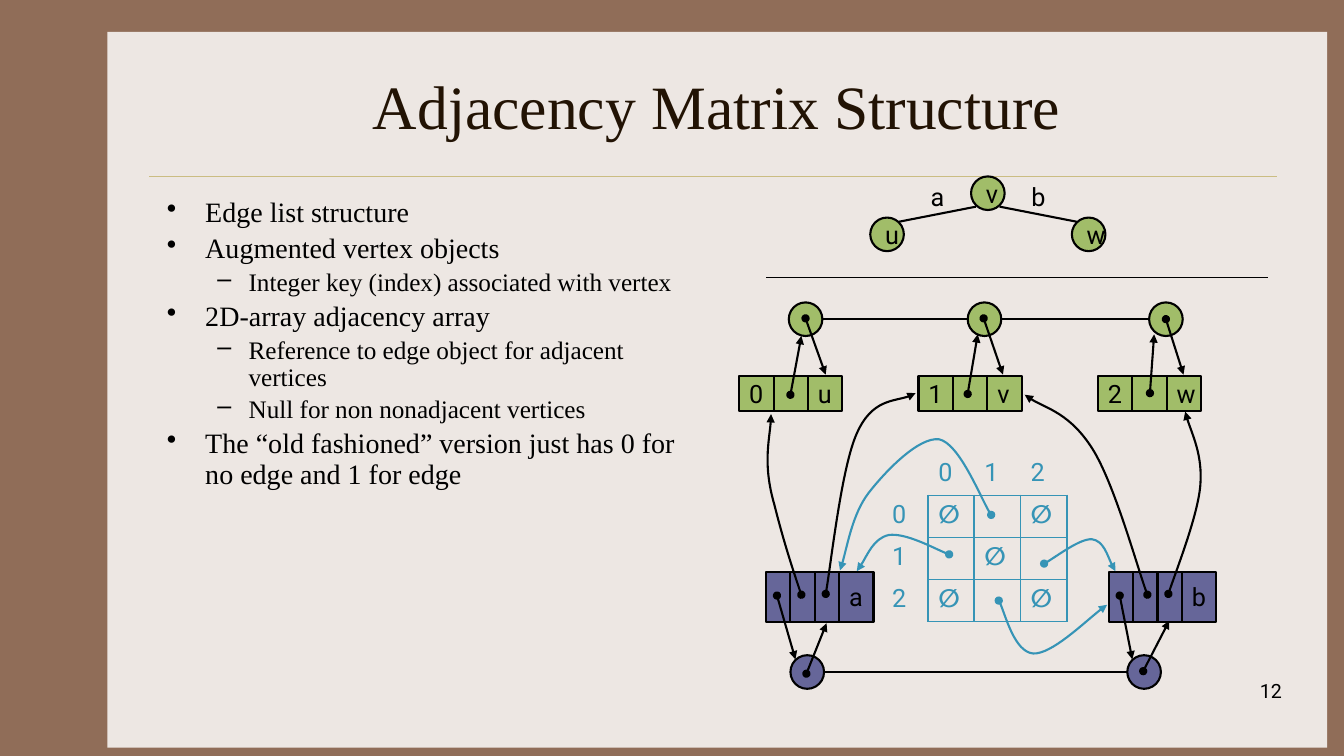
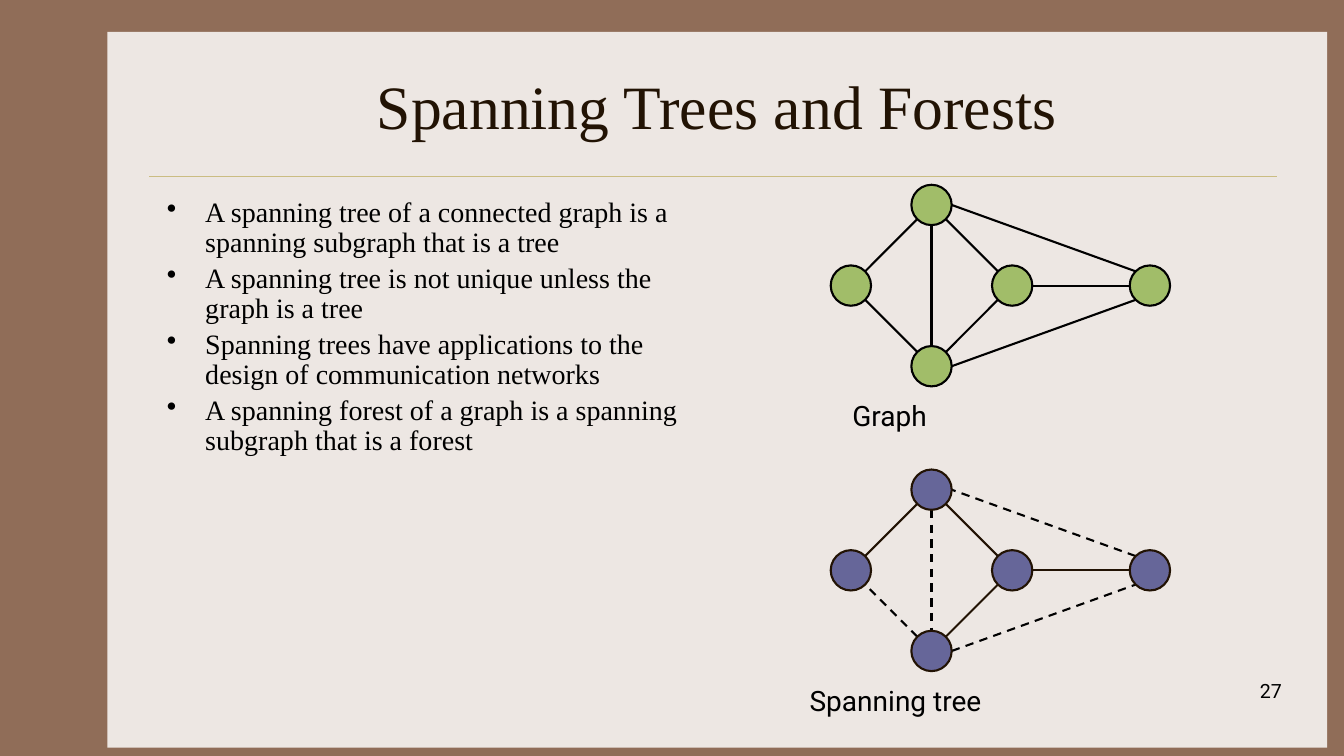
from dataclasses import dataclass
from math import cos, radians, sin

from lxml.etree import SubElement
from pptx import Presentation
from pptx.dml.color import RGBColor
from pptx.enum.dml import MSO_LINE
from pptx.enum.shapes import MSO_CONNECTOR, MSO_SHAPE
from pptx.enum.text import MSO_ANCHOR, PP_ALIGN
from pptx.oxml.ns import qn
from pptx.util import Emu, Inches, Pt

COLS, ROWS = 160, 90
CELL = Inches(13.3333) // COLS + 1
TITLE_ONLY = 5


@dataclass(frozen=True)
class Theme:
    frame: str = "906D58"
    panel: str = "EDE7E3"
    rule: str = "CBBD83"
    title: str = "221304"
    ink: str = "000000"
    green: str = "A1BD69"
    blue: str = "666699"
    teal: str = "3694B6"
    serif: str = "Times New Roman"
    sans: str = "Roboto"
    title_size: int = 44
    body_sizes: tuple = (20, 18)
    caption_size: int = 20
    label_size: int = 18
    number_size: int = 14
    stroke: float = 1.5


T = Theme()
BULLETS = (("•", 0.38, 0.38), ("–", 0.81, 0.31))


def g(*lengths):
    return [Emu(round(n * CELL)) for n in lengths]


def rgb(color):
    return RGBColor.from_string(color)


def format_runs(p, size, font=T.sans, color=T.ink, bold=False):
    for r in p.runs:
        r.font.size = Pt(size)
        r.font.name = font
        r.font.bold = bold
        r.font.color.rgb = rgb(color)


def set_line(sp, color=T.ink, width=T.stroke, dashed=False):
    sp.line.color.rgb = rgb(color)
    sp.line.width = Pt(width)
    if dashed:
        sp.line.dash_style = MSO_LINE.DASH


def add_ends(sp):
    ln = sp._element.spPr.find(qn("a:ln"))
    SubElement(ln, qn("a:headEnd"), type="oval")
    SubElement(ln, qn("a:tailEnd"), type="triangle")


def add_label(s, box, text, size=T.label_size, align=PP_ALIGN.LEFT, wrap=True):
    tf = s.shapes.add_textbox(*g(*box)).text_frame
    tf.word_wrap = wrap
    tf.text = text
    tf.paragraphs[0].alignment = align
    format_runs(tf.paragraphs[0], size)


def add_box(s, kind, box, fill, text="", outline=T.ink):
    sp = s.shapes.add_shape(kind, *g(*box))
    sp.shadow.inherit = False
    sp.fill.solid()
    sp.fill.fore_color.rgb = rgb(fill)
    if outline:
        set_line(sp, outline)
    else:
        sp.line.fill.background()
    if text:
        tf = sp.text_frame
        tf.text = text
        tf.word_wrap = False
        tf.vertical_anchor = MSO_ANCHOR.MIDDLE
        tf.paragraphs[0].alignment = PP_ALIGN.LEFT
        format_runs(tf.paragraphs[0], T.label_size)


def add_node(s, center, diameter, fill, text="", outline=T.ink):
    x, y = center
    box = (x - diameter / 2, y - diameter / 2, diameter, diameter)
    add_box(s, MSO_SHAPE.OVAL, box, fill, text, outline)


def add_record(s, x, y, widths, height, fill, texts):
    for width, text in zip(widths, texts):
        add_box(s, MSO_SHAPE.RECTANGLE, (x, y, width, height), fill, text)
        x += width


def add_line(s, start, end, color=T.ink, width=T.stroke, dashed=False):
    c = s.shapes.add_connector(MSO_CONNECTOR.STRAIGHT, *g(*start, *end))
    set_line(c, color, width, dashed)
    SubElement(c._element.spPr, qn("a:effectLst"))
    return c


def add_curve(s, points, color):
    start, *rest = [g(*point) for point in points]
    builder = s.shapes.build_freeform(*start)
    builder.add_line_segments(rest, close=False)
    sp = builder.convert_to_shape()
    steps = sp._element.xpath(".//a:lnTo")
    outline = steps[0].getparent()
    for i in range(0, len(steps), 3):
        bezier = SubElement(outline, qn("a:cubicBezTo"))
        for step in steps[i:i + 3]:
            bezier.append(step[0])
            outline.remove(step)
    sp.shadow.inherit = False
    sp.fill.background()
    set_line(sp, color)
    add_ends(sp)


def add_bullets(s, items):
    tf = s.shapes.add_textbox(*g(18.7, 23, 65.3, 54)).text_frame
    tf.word_wrap = True
    for i, (level, text) in enumerate(items):
        p = tf.add_paragraph() if i else tf.paragraphs[0]
        p.text = text
        p.level = level
        p.line_spacing = 0.9
        size = T.body_sizes[level]
        p.space_before = Pt(size * 0.2)
        format_runs(p, size, T.serif)
        mark, margin, hanging = BULLETS[level]
        pPr = p._p.get_or_add_pPr()
        pPr.set("marL", str(Inches(margin)))
        pPr.set("indent", str(-Inches(hanging)))
        SubElement(pPr, qn("a:buChar"), char=mark)


def set_borders(cell, visible):
    tcPr = cell._tc.get_or_add_tcPr()
    for i, side in enumerate(("lnL", "lnR", "lnT", "lnB")):
        ln = SubElement(tcPr, qn("a:" + side), w=str(Pt(T.stroke)))
        if side in visible:
            fill = SubElement(ln, qn("a:solidFill"))
            SubElement(fill, qn("a:srgbClr"), val=T.teal)
        else:
            SubElement(ln, qn("a:noFill"))
        tcPr.insert(i, ln)


def add_matrix(s, box, rows):
    n = len(rows)
    table = s.shapes.add_table(n, n, *g(*box)).table
    table.first_row = table.horz_banding = False
    for i, row in enumerate(rows):
        for j, text in enumerate(row):
            cell = table.cell(i, j)
            cell.text = text
            cell.fill.background()
            format_runs(cell.text_frame.paragraphs[0], T.label_size, color=T.teal, bold=bool(i and j))
            if i and j:
                visible = ("lnL", "lnR", "lnT", "lnB")
            else:
                visible = ("lnB",) if j else ("lnR",) if i else ()
            set_borders(cell, visible)


def new_slide(prs, title, number):
    s = prs.slides.add_slide(prs.slide_layouts[TITLE_ONLY])
    add_box(s, MSO_SHAPE.RECTANGLE, (12.8, 3.8, 145.2, 85.2), T.panel, outline=None)
    add_line(s, (17.8, 21), (152, 21), T.rule, 0.25)
    sp = s.shapes.title
    s.shapes._spTree.append(sp._element)
    sp.left, sp.top, sp.width, sp.height = g(18.7, 5, 133.3, 15)
    tf = sp.text_frame
    tf.text = title
    tf.vertical_anchor = MSO_ANCHOR.MIDDLE
    tf.paragraphs[0].alignment = PP_ALIGN.CENTER
    format_runs(tf.paragraphs[0], T.title_size, T.serif, T.title)
    add_label(s, (120.4, 80.2, 33.4, 6), number, T.number_size, PP_ALIGN.RIGHT)
    return s


def add_small_tree(s):
    x, y = 117.6, 23
    for side, vertex, edge in ((-1, "u", "a"), (1, "w", "b")):
        add_node(s, (x + side * 12, y + 4.9), 4, T.green, vertex)
        add_line(s, (x + side * 1.4, y + 1.6), (x + side * 10.6, y + 3.4))
        add_label(s, (x - 2 + side * 6, 21, 4, 4.8), edge, wrap=False)
    add_node(s, (x, y), 4, T.green, "v")


def add_structure(s):
    vertex_xs, edge_xs = (95.9, 117.2, 138.8), (96.1, 136.2)
    for xs, y, fill in ((vertex_xs, 38, T.green), (edge_xs, 80, T.blue)):
        add_line(s, (xs[0], y), (xs[-1], y))
        for x in xs:
            add_node(s, (x, y), 4, fill)
    for i, name in enumerate("uvw"):
        add_record(s, 88 + i * 21.35, 44.8, [4.1] * 3, 4.1, T.green, (str(i), "", name))
    for x, name in ((91.2, "a"), (132, "b")):
        add_record(s, x, 68.1, (2.9, 2.9, 2.9, 4.1), 5.9, T.blue, ("", "", "", name))

    arrows = (
        ((95.9, 37.9), (98.3, 44.6)), ((117.1, 37.9), (119.4, 44.6)),
        ((138.8, 38), (140.9, 44.6)), ((94.1, 47), (95.4, 40)),
        ((115.2, 46.9), (116.4, 39.8)), ((136.9, 46.8), (137.4, 39.8)),
        ((96, 80.2), (98.4, 74.2)), ((136.1, 79.9), (139.2, 73.9)),
        ((92.5, 70.9), (94.7, 78.5)), ((133.3, 70.9), (134.8, 78.5)),
    )
    for start, end in arrows:
        add_ends(add_line(s, start, end))

    edge_to_vertex = (
        ((98.3, 70.7), (98.9, 67.4), (100.2, 55.6), (102, 51.6),
         (103.8, 47.5), (107.5, 47.8), (109, 46.8)),
        ((95.4, 70.8), (94.8, 69), (93.4, 64.9), (92.2, 60.1),
         (90.8, 55.3), (91.8, 51.6), (91.8, 49.3)),
        ((136.6, 70.8), (135.5, 67.9), (132.7, 57.7), (130.1, 53.5),
         (127.4, 49.2), (123.7, 48.4), (122, 47)),
        ((139.1, 70.7), (139.8, 68.5), (142.6, 61.4), (142.9, 57.8),
         (143.2, 54.2), (141.5, 50.8), (141.1, 49)),
    )
    matrix_to_edge = (
        ((113, 66), (111.8, 65.6), (107.8, 63.4), (105.8, 63.7),
         (104, 64.1), (102.8, 67.1), (102, 68)),
        ((118, 61.3), (117, 59.9), (114.2, 52.8), (111.8, 52.3), (109.4, 52),
         (105.5, 56), (103.4, 58.7), (101.5, 61.2), (100.7, 66), (100, 67.9)),
        ((124.3, 67.1), (125.3, 66.6), (128.6, 64.1), (130, 64.2),
         (131.4, 64.4), (132.2, 67.2), (132.8, 68)),
        ((118.9, 71.5), (119.5, 72.5), (120.8, 77.6), (123, 77.8),
         (125.2, 77.9), (130, 73.2), (131.8, 72)),
    )
    for curves, color in ((edge_to_vertex, T.ink), (matrix_to_edge, T.teal)):
        for points in curves:
            add_curve(s, points, color)


def add_graph(s, y, fill, tree_color, dash_rest):
    diameter = 4.8
    nodes = {"top": (110.9, y - 9.6), "left": (101.3, y), "middle": (120.5, y),
             "bottom": (110.9, y + 9.6), "right": (136.9, y)}
    edges = (
        ("top", 135, "left", 315, True), ("bottom", 225, "left", 45, False),
        ("bottom", 315, "middle", 135, True), ("top", 45, "middle", 225, True),
        ("top", 90, "bottom", 270, False), ("middle", 0, "right", 180, True),
        ("bottom", 0, "right", 135, False), ("right", 225, "top", 0, False),
    )

    def port(name, angle):
        cx, cy = nodes[name]
        a = radians(angle)
        return cx + diameter / 2 * cos(a), cy + diameter / 2 * sin(a)

    for a, a_angle, b, b_angle, in_tree in edges:
        color = tree_color if in_tree else T.ink
        add_line(s, port(a, a_angle), port(b, b_angle), color, dashed=dash_rest and not in_tree)
    for center in nodes.values():
        add_node(s, center, diameter, fill, outline=tree_color)


def matrix_slide(prs):
    s = new_slide(prs, "Adjacency Matrix Structure", "12")
    add_bullets(s, (
        (0, "Edge list structure"),
        (0, "Augmented vertex objects"),
        (1, "Integer key (index) associated with vertex"),
        (0, "2D-array adjacency array"),
        (1, "Reference to edge object for adjacent vertices"),
        (1, "Null for non nonadjacent vertices"),
        (0, "The “old fashioned” version just has 0 for no edge and 1 for edge"),
    ))
    add_small_tree(s)
    add_line(s, (91.2, 33), (151, 33), width=0.75)
    add_matrix(s, (105, 54, 22, 20), (
        ("", "0", "1", "2"),
        ("0", "∅", "", "∅"),
        ("1", "", "∅", ""),
        ("2", "∅", "", "∅"),
    ))
    add_structure(s)


def spanning_slide(prs):
    s = new_slide(prs, "Spanning Trees and Forests", "27")
    add_bullets(s, (
        (0, "A spanning tree of a connected graph is a spanning subgraph that is a tree"),
        (0, "A spanning tree is not unique unless the graph is a tree"),
        (0, "Spanning trees have applications to the design of communication networks"),
        (0, "A spanning forest of a graph is a spanning subgraph that is a forest"),
    ))
    add_graph(s, 34, T.green, T.ink, False)
    add_label(s, (100.3, 46.9, 37.4, 5.2), "Graph", T.caption_size)
    add_graph(s, 67.9, T.blue, T.title, True)
    add_label(s, (95.2, 80.8, 47.9, 5.2), "Spanning tree", T.caption_size)


def main():
    prs = Presentation()
    prs.slide_width, prs.slide_height = g(COLS, ROWS)
    fill = prs.slide_master.background.fill
    fill.solid()
    fill.fore_color.rgb = rgb(T.frame)
    matrix_slide(prs)
    spanning_slide(prs)
    prs.save("out.pptx")


if __name__ == "__main__":
    main()
